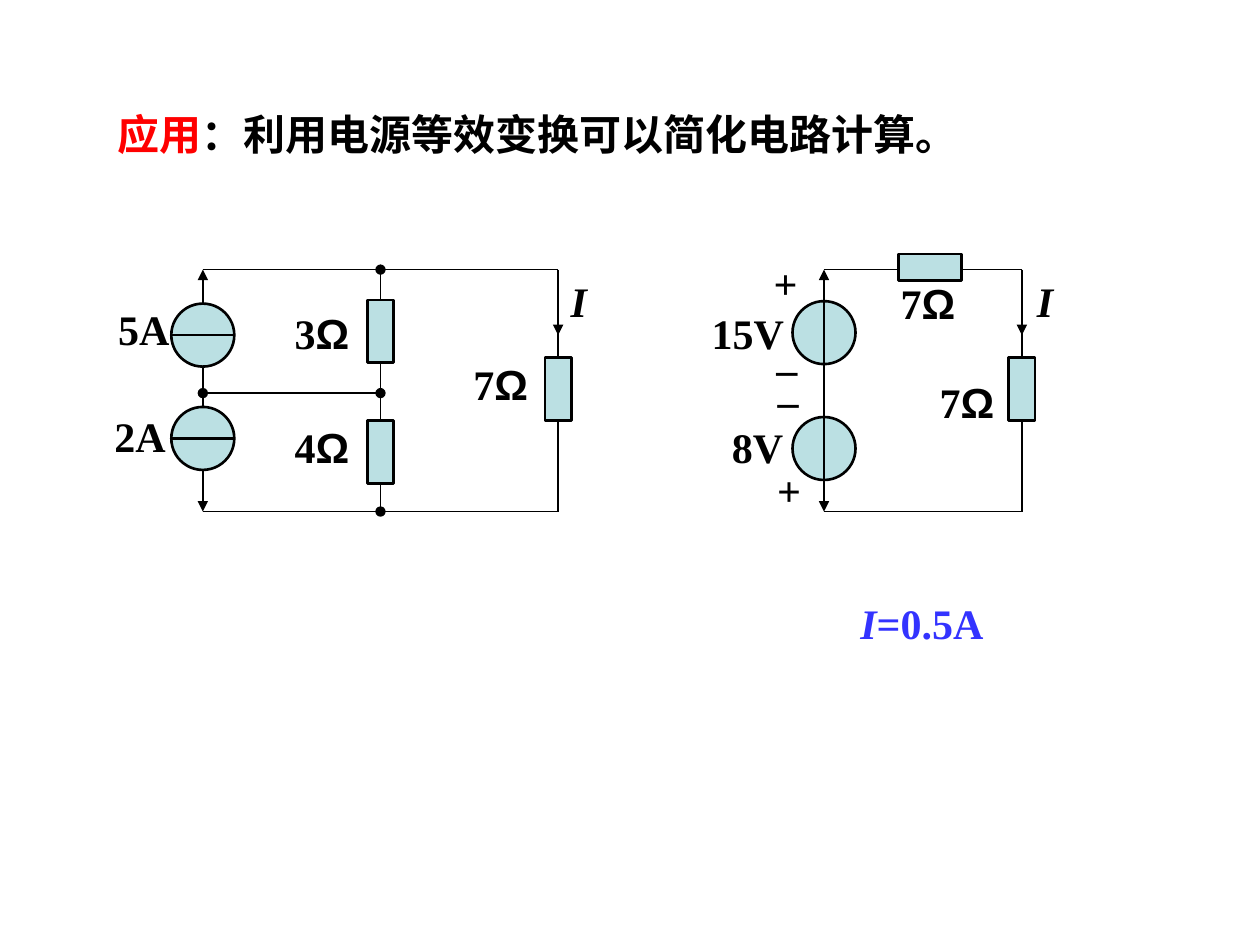
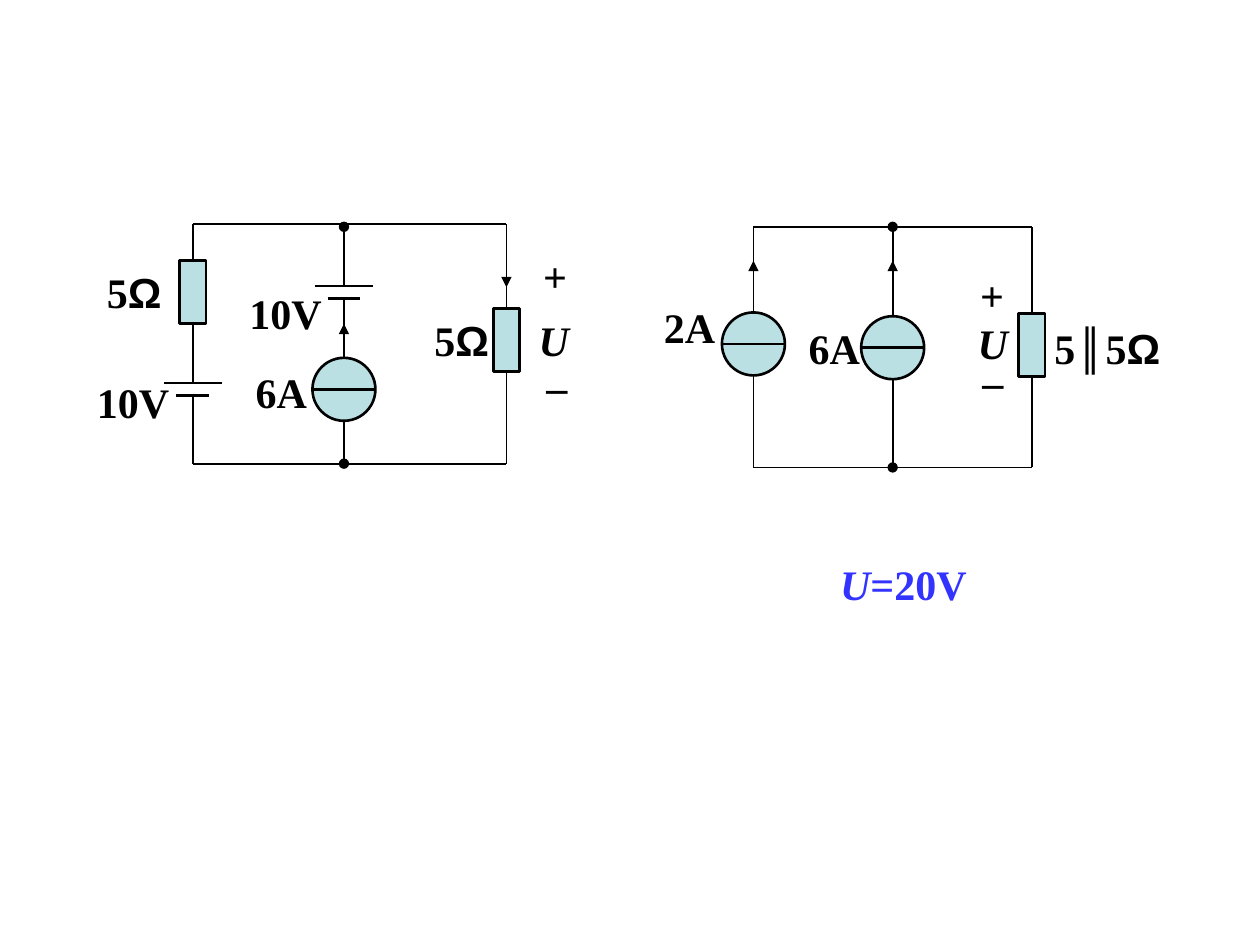
from dataclasses import dataclass
from itertools import groupby
from typing import Any

from pptx import Presentation
from pptx import util as u
from pptx.dml.color import RGBColor
from pptx.enum import shapes, text
from pptx.oxml import ns, xmlchemy

BLACK = RGBColor(0x00, 0x00, 0x00)
RED = RGBColor(0xFF, 0x00, 0x00)
BLUE = RGBColor(0x33, 0x33, 0xFF)
PALE_TEAL = RGBColor(0xBB, 0xE0, 0xE3)
SERIF, SANS = "Times New Roman", "Arial"
TEXT_SIZE = u.Pt(24)
WIRE, OUTLINE = u.Pt(1), u.Pt(1.5)
SOURCE_SIZE = 0.5
RESISTOR_LONG, RESISTOR_SHORT = 0.5, 0.21
LABEL_HEIGHT = 0.5
QUANTITIES = "IU"


def add_run(paragraph, wording, color=BLACK, font=SERIF, italic=False):
    run = paragraph.add_run()
    run.text = wording
    run.font.name = font
    run.font.size = TEXT_SIZE
    run.font.bold = True
    run.font.italic = italic
    run.font.color.rgb = color


def char_style(char):
    """Ohm signs are sans serif; quantity symbols are italic."""
    return (SANS if char == "Ω" else SERIF), char in QUANTITIES


def add_label(canvas, wording, left, top, width, color=BLACK, centred=False):
    box = canvas.add_textbox(*map(u.Inches, (left, top, width, LABEL_HEIGHT)))
    frame = box.text_frame
    frame.word_wrap = True
    paragraph = frame.paragraphs[0]
    if centred:
        frame.vertical_anchor = text.MSO_ANCHOR.MIDDLE
        paragraph.alignment = text.PP_ALIGN.CENTER
    for (font, italic), chars in groupby(wording, char_style):
        add_run(paragraph, "".join(chars), color, font, italic)


@dataclass
class Circuit:
    """Draws circuit elements at inches measured from its top left corner."""
    canvas: Any
    left: float
    top: float

    def line(self, x1, y1, x2, y2, width=WIRE, head=None, tail=None):
        ends = (self.left + x1, self.top + y1, self.left + x2, self.top + y2)
        line = self.canvas.add_connector(
            shapes.MSO_CONNECTOR.STRAIGHT, *map(u.Inches, ends))
        line.line.width = width
        line.line.color.rgb = BLACK
        properties = line._element.spPr
        outline = properties.find(ns.qn("a:ln"))
        for tag, kind in (("a:headEnd", head), ("a:tailEnd", tail)):
            if kind:
                end = xmlchemy.OxmlElement(tag)
                end.set("type", kind)
                outline.append(end)
        properties.append(xmlchemy.OxmlElement("a:effectLst"))

    def body(self, kind, x, y, width, height):
        """Filled outline centred on x, y."""
        place = (self.left + x - width / 2, self.top + y - height / 2, width, height)
        body = self.canvas.add_shape(kind, *map(u.Inches, place))
        body.shadow.inherit = False
        body.fill.solid()
        body.fill.fore_color.rgb = PALE_TEAL
        body.line.color.rgb = BLACK
        body.line.width = OUTLINE

    def resistor(self, x, y, upright=True):
        size = (RESISTOR_SHORT, RESISTOR_LONG)
        self.body(shapes.MSO_SHAPE.RECTANGLE, x, y, *(size if upright else size[::-1]))

    def voltage_source(self, x, y):
        self.body(shapes.MSO_SHAPE.OVAL, x, y, SOURCE_SIZE, SOURCE_SIZE)

    def current_source(self, x, y):
        self.voltage_source(x, y)
        self.plate(x, y, SOURCE_SIZE)

    def plate(self, x, y, length):
        self.line(x - length / 2, y, x + length / 2, y, OUTLINE)

    def battery(self, x, y):
        self.plate(x, y, 0.46)
        self.plate(x, y + 0.1, 0.26)

    def rails(self, width, height):
        for y in (0, height):
            self.line(0, y, width, y)

    def labels(self, *entries, centred=False):
        for wording, x, y, width in entries:
            add_label(self.canvas, wording, self.left + x, self.top + y, width,
                      centred=centred)


def new_circuit(slide, left, top):
    return Circuit(slide.shapes.add_group_shape().shapes, left, top)


def current_source_pair(slide, left, top, width, height):
    circuit = new_circuit(slide, left, top)
    middle = width / 2
    circuit.line(0, 0, 0, height, head="triangle", tail="triangle")
    circuit.line(middle, 0, middle, height, head="oval", tail="oval")
    circuit.line(width, 0, width, height)
    circuit.rails(width, height)
    circuit.line(0, 0.98, middle, 0.98, head="oval", tail="oval")
    for y in (0.52, 1.34):
        circuit.current_source(0, y)
    for x, y in ((middle, 0.49), (middle, 1.45), (width, 0.95)):
        circuit.resistor(x, y)
    circuit.line(width, 0.24, width, 0.52, tail="triangle")
    circuit.labels(("5A", -0.77, 0.22, 0.77), ("2A", -0.8, 1.07, 0.77),
                   ("3Ω", 0.63, 0.25, 0.7), ("4Ω", 0.63, 1.16, 0.7),
                   ("7Ω", 2.05, 0.66, 0.7), ("I", width, 0, 0.42))


def series_voltage_loop(slide, left, top, width, height):
    circuit = new_circuit(slide, left, top)
    for y in (0.5, 1.42):
        circuit.voltage_source(0, y)
    circuit.line(0, 0, 0, height, head="triangle", tail="triangle")
    circuit.line(width, 0, width, height)
    circuit.rails(width, height)
    circuit.resistor(0.84, -0.02, upright=False)
    circuit.resistor(width, 0.95)
    circuit.line(width, 0.24, width, 0.52, tail="triangle")
    circuit.labels(("+", -0.5, -0.15, 0.39), ("_", -0.48, 0.42, 0.37),
                   ("_", -0.47, 0.67, 0.37), ("+", -0.47, 1.5, 0.37), centred=True)
    circuit.labels(("15V", -0.99, 0.25, 0.89), ("8V", -0.83, 1.16, 0.7),
                   ("7Ω", 0.82, 0.8, 0.7), ("7Ω", 0.51, 0.01, 0.7),
                   ("I", 1.59, 0, 0.42))


def battery_branches(slide, left, top, width, height):
    circuit = new_circuit(slide, left, top)
    middle = 1.2
    circuit.battery(middle, 0.49)
    circuit.line(middle, 0.59, middle, height, tail="oval")
    circuit.line(middle, 0.02, middle, 0.49, head="oval")
    circuit.battery(0, 1.26)
    circuit.line(0, 0, 0, 1.26)
    circuit.line(0, 1.36, 0, height)
    circuit.line(width, 0, width, height)
    circuit.rails(width, height)
    circuit.current_source(middle, 1.31)
    circuit.resistor(0, 0.54)
    circuit.resistor(width, 0.92)
    circuit.line(width, 0.22, width, 0.5, tail="triangle")
    circuit.line(middle, 1.06, middle, 0.79, tail="triangle")
    circuit.labels(("+", 2.68, 0.16, 0.39), ("_", 2.68, 0.92, 0.42),
                   ("U", 2.58, 0.67, 0.57), centred=True)
    circuit.labels(("5Ω", -0.78, 0.29, 0.7), ("5Ω", 1.82, 0.67, 0.7),
                   ("10V", -0.86, 1.16, 0.82), ("10V", 0.35, 0.45, 0.82),
                   ("6A", 0.4, 1.08, 0.78))


def parallel_current_sources(slide, left, top, width, height):
    circuit = new_circuit(slide, left, top)
    middle = width / 2
    circuit.line(0, 0, 0, height)
    circuit.line(middle, 0, middle, height, head="oval", tail="oval")
    circuit.line(width, 0, width, height)
    circuit.rails(width, height)
    for x, y in ((0, 0.93), (middle, 0.96)):
        circuit.current_source(x, y)
        circuit.line(x, y - SOURCE_SIZE / 2, x, 0.27, tail="triangle")
    circuit.resistor(width, 0.94)
    circuit.labels(("+", 1.7, 0.29, 0.38), ("_", 1.7, 0.86, 0.4),
                   ("U", 1.62, 0.67, 0.56), centred=True)
    circuit.labels(("5∥5Ω", 2.29, 0.71, 1.23), ("2A", -0.81, 0.54, 0.77),
                   ("6A", 0.34, 0.71, 0.77))


def set_title(slide, topic, statement):
    title = slide.shapes.title
    title.left, title.top, title.width, title.height = map(
        u.Inches, (0.83, 0.81, 7.24, 0.5))
    frame = title.text_frame
    frame.auto_size = text.MSO_AUTO_SIZE.NONE
    frame.vertical_anchor = text.MSO_ANCHOR.TOP
    paragraph = frame.paragraphs[0]
    paragraph.alignment = text.PP_ALIGN.LEFT
    add_run(paragraph, topic, RED)
    add_run(paragraph, statement)


def add_current_slide(deck):
    slide = deck.slides.add_slide(deck.slide_layouts.get_by_name("Title Only"))
    set_title(slide, "应用", "：利用电源等效变换可以简化电路计算。")
    add_label(slide.shapes, "I=0.5A", 6.73, 4.69, 1.4, BLUE)
    current_source_pair(slide, 1.61, 2.14, 2.82, 1.92)
    series_voltage_loop(slide, 6.54, 2.14, 1.57, 1.92)


def add_voltage_slide(deck):
    slide = deck.slides.add_slide(deck.slide_layouts.get_by_name("Blank"))
    battery_branches(slide, 1.53, 1.78, 2.49, 1.9)
    parallel_current_sources(slide, 5.98, 1.8, 2.21, 1.91)
    add_label(slide.shapes, "U=20V", 6.57, 4.38, 1.4, BLUE)


def main():
    deck = Presentation()
    deck.slide_width, deck.slide_height = u.Inches(10), u.Inches(7.5)
    add_current_slide(deck)
    add_voltage_slide(deck)
    deck.save("out.pptx")


if __name__ == "__main__":
    main()
